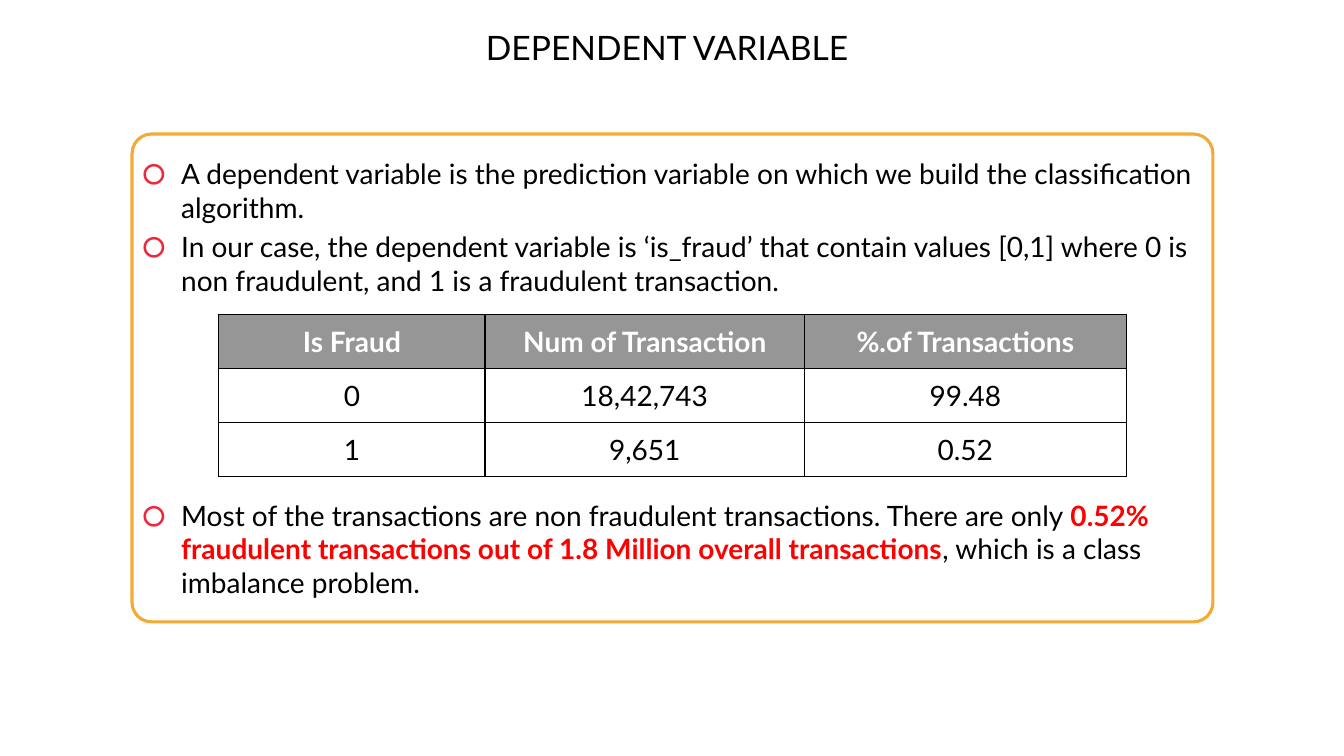
from dataclasses import dataclass

from lxml.etree import SubElement
from pptx import Presentation
from pptx.dml.color import RGBColor
from pptx.enum.shapes import MSO_SHAPE
from pptx.enum.text import MSO_ANCHOR, PP_ALIGN
from pptx.oxml.ns import qn
from pptx.util import Inches, Pt


@dataclass(frozen=True)
class Theme:
    """Colours, font and type sizes of the slide."""
    font: str = "Lato"
    ink: str = "000000"
    paper: str = "FFFFFF"
    gold: str = "F4AB35"
    mark: str = "EE283C"
    alert: str = "FF0000"
    head: str = "969696"
    title: int = 24
    body: int = 20


class Deck:
    """Draws styled elements on the current slide."""

    def __init__(self, prs, theme):
        self.look = theme
        self.slide = prs.slides.add_slide(prs.slide_layouts[6])

    def run(self, para, text, size, color, bold=False):
        """Add one styled run."""
        run = para.add_run()
        run.text = text
        font = run.font
        font.name, font.size, font.bold = self.look.font, Pt(size), bold
        font.color.rgb = RGBColor.from_string(color)

    def shape(self, kind, box, pad, anchor):
        """Add a plain shape and return it."""
        shape = self.slide.shapes.add_shape(kind, *map(Inches, box))
        shape.shadow.inherit = False
        shape.fill.background()
        shape.line.fill.background()
        frame = shape.text_frame
        frame.word_wrap = True
        frame.vertical_anchor = anchor
        frame.margin_left = frame.margin_right = Inches(pad[0])
        frame.margin_top = frame.margin_bottom = Inches(pad[1])
        return shape

    def title(self, text, box):
        """Add the slide title."""
        shape = self.shape(MSO_SHAPE.RECTANGLE, box, (0.1, 0.05), MSO_ANCHOR.TOP)
        shape.fill.solid()
        shape.fill.fore_color.rgb = RGBColor.from_string(self.look.paper)
        para = shape.text_frame.paragraphs[0]
        para.alignment = PP_ALIGN.CENTER
        self.run(para, text, self.look.title, self.look.ink)

    def panel(self, points, box):
        """Add the rounded panel with its bullet points."""
        shape = self.shape(MSO_SHAPE.ROUNDED_RECTANGLE, box, (0.05, 0.13), MSO_ANCHOR.MIDDLE)
        shape.adjustments[0] = 0.04
        shape.line.color.rgb = RGBColor.from_string(self.look.gold)
        shape.line.width = Pt(2.25)
        frame = shape.text_frame
        for i, (above, below, runs) in enumerate(points):
            para = frame.add_paragraph() if i else frame.paragraphs[0]
            para.alignment = PP_ALIGN.LEFT
            para.space_before, para.space_after = Pt(above), Pt(below)
            self.bullet(para)
            for text, strong in runs:
                color = self.look.alert if strong else self.look.ink
                self.run(para, text, self.look.body, color, strong)

    def bullet(self, para):
        """Give a paragraph a ring bullet and a hanging indent."""
        props = para._p.get_or_add_pPr()
        props.set("marL", str(Inches(0.38)))
        props.set("indent", str(Inches(-0.38)))
        tint = SubElement(props, qn("a:buClr"))
        SubElement(tint, qn("a:srgbClr"), val=self.look.mark)
        SubElement(props, qn("a:buFont"), typeface=self.look.font)
        SubElement(props, qn("a:buChar"), char="🞆")

    def table(self, rows, spot, widths, height):
        """Add a ruled table with a filled head row."""
        box = (*spot, sum(widths), height * len(rows))
        grid = self.slide.shapes.add_table(len(rows), len(widths), *map(Inches, box)).table
        grid.horz_banding = False
        for col, width in zip(grid.columns, widths):
            col.width = Inches(width)
        for r, row in enumerate(rows):
            grid.rows[r].height = Inches(height)
            for c, text in enumerate(row):
                self.cell(grid.cell(r, c), text, r == 0)

    def cell(self, cell, text, head):
        """Fill and rule one table cell."""
        cell.margin_left = cell.margin_right = Inches(0.1)
        cell.margin_top = cell.margin_bottom = Inches(0.1)
        cell.vertical_anchor = MSO_ANCHOR.MIDDLE
        props = cell._tc.get_or_add_tcPr()
        for side in "LRTB":
            edge = SubElement(props, qn(f"a:ln{side}"), w=str(Pt(1)))
            fill = SubElement(edge, qn("a:solidFill"))
            SubElement(fill, qn("a:srgbClr"), val=self.look.ink)
        if head:
            cell.fill.solid()
            cell.fill.fore_color.rgb = RGBColor.from_string(self.look.head)
        else:
            cell.fill.background()
        para = cell.text_frame.paragraphs[0]
        para.alignment = PP_ALIGN.CENTER
        color = self.look.paper if head else self.look.ink
        self.run(para, text, self.look.body, color, head)


POINTS = [
    (2, 0, [("A dependent variable is the prediction variable on which we build "
             "the classification algorithm.", False)]),
    (4, 0, [("In our case, the dependent variable is ‘is_fraud’ that contain values [0,1] "
             "where 0 is non fraudulent, and 1 is a fraudulent transaction.", False)]),
    (144, 2, [("Most of the transactions are non fraudulent transactions. There are only ", False),
              ("0.52% fraudulent transactions out of 1.8 Million overall transactions", True),
              (", which is a class imbalance problem.", False)]),
]
COUNTS = [
    ("Is Fraud", "Num of Transaction", "%.of Transactions"),
    ("0", "18,42,743", "99.48"),
    ("1", "9,651", "0.52"),
]


def main():
    """Build and save the slide."""
    prs = Presentation()
    prs.slide_width, prs.slide_height = Inches(13.33), Inches(7.5)
    deck = Deck(prs, Theme())
    deck.title("DEPENDENT VARIABLE ", (3.01, 0.22, 7.3, 0.57))
    deck.panel(POINTS, (1.31, 1.33, 10.72, 4.84))
    deck.table(COUNTS, (2.17, 3.12), (2.64, 3.17, 3.19), 0.53)
    prs.save("out.pptx")


if __name__ == "__main__":
    main()
